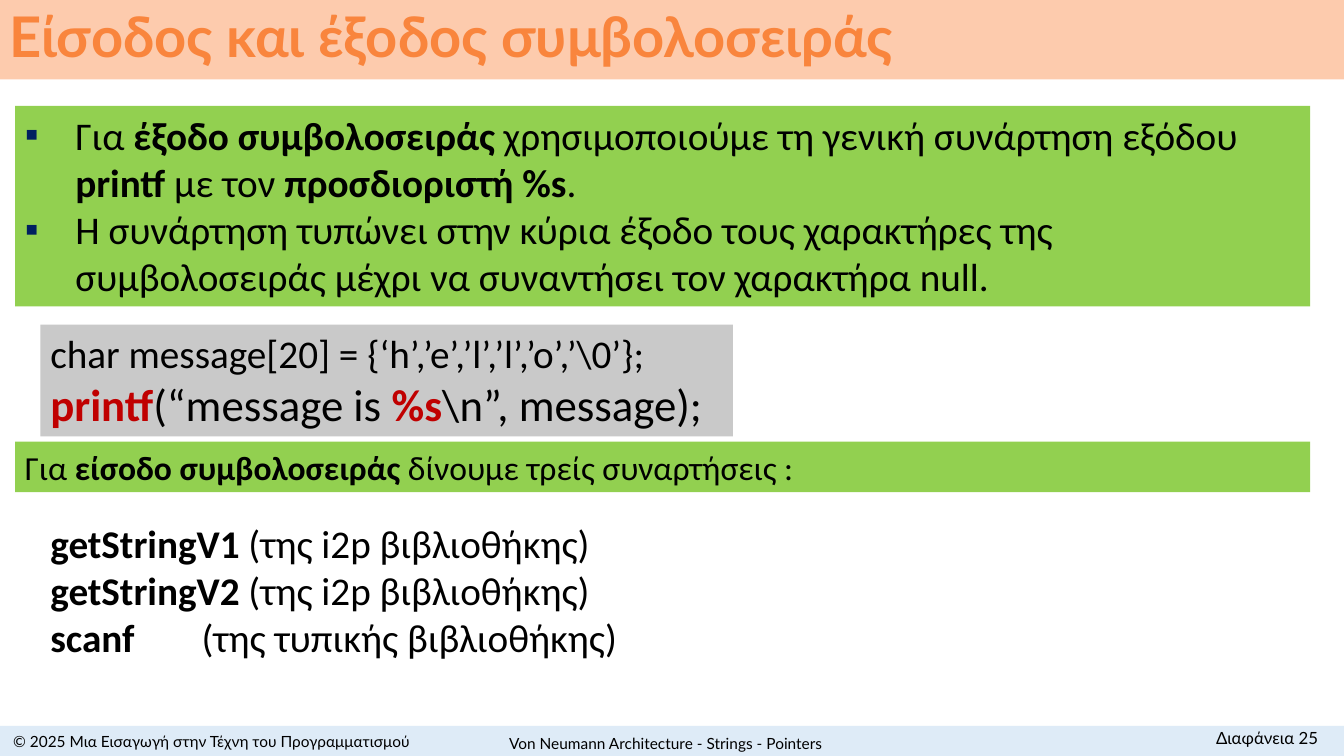
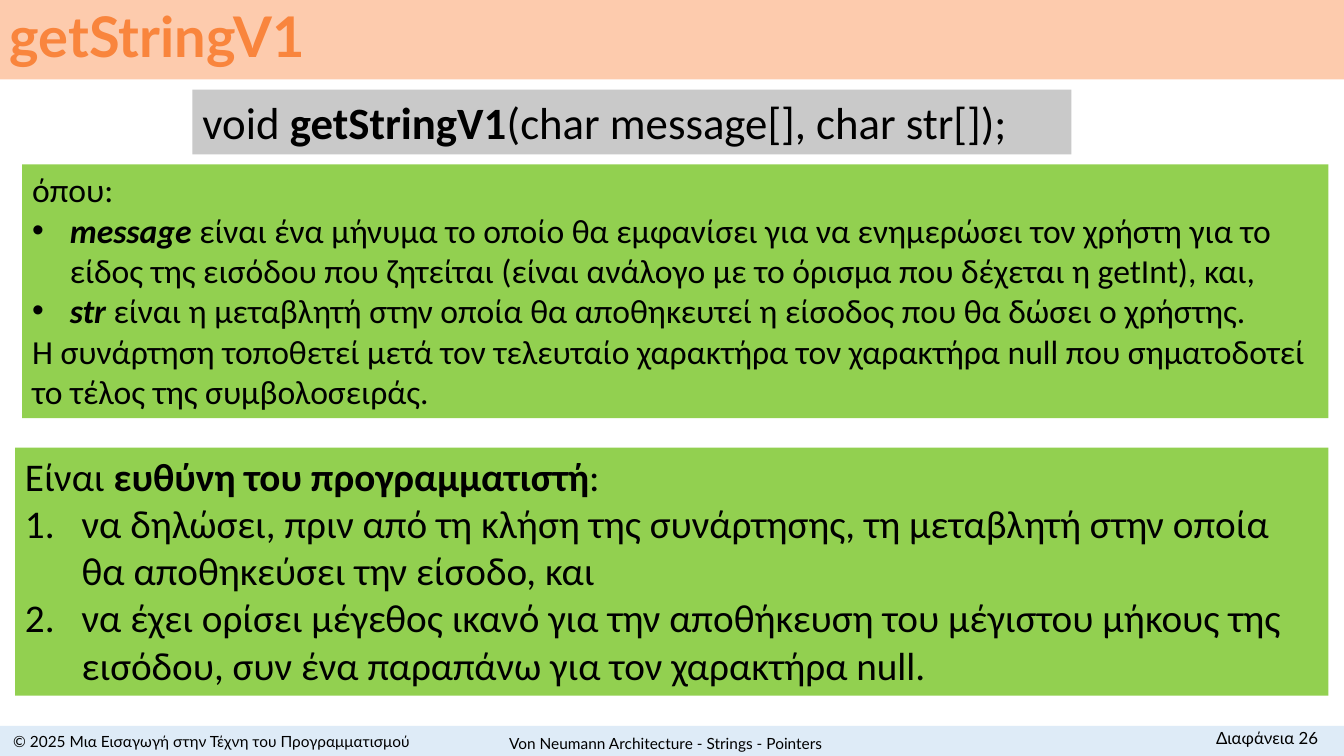
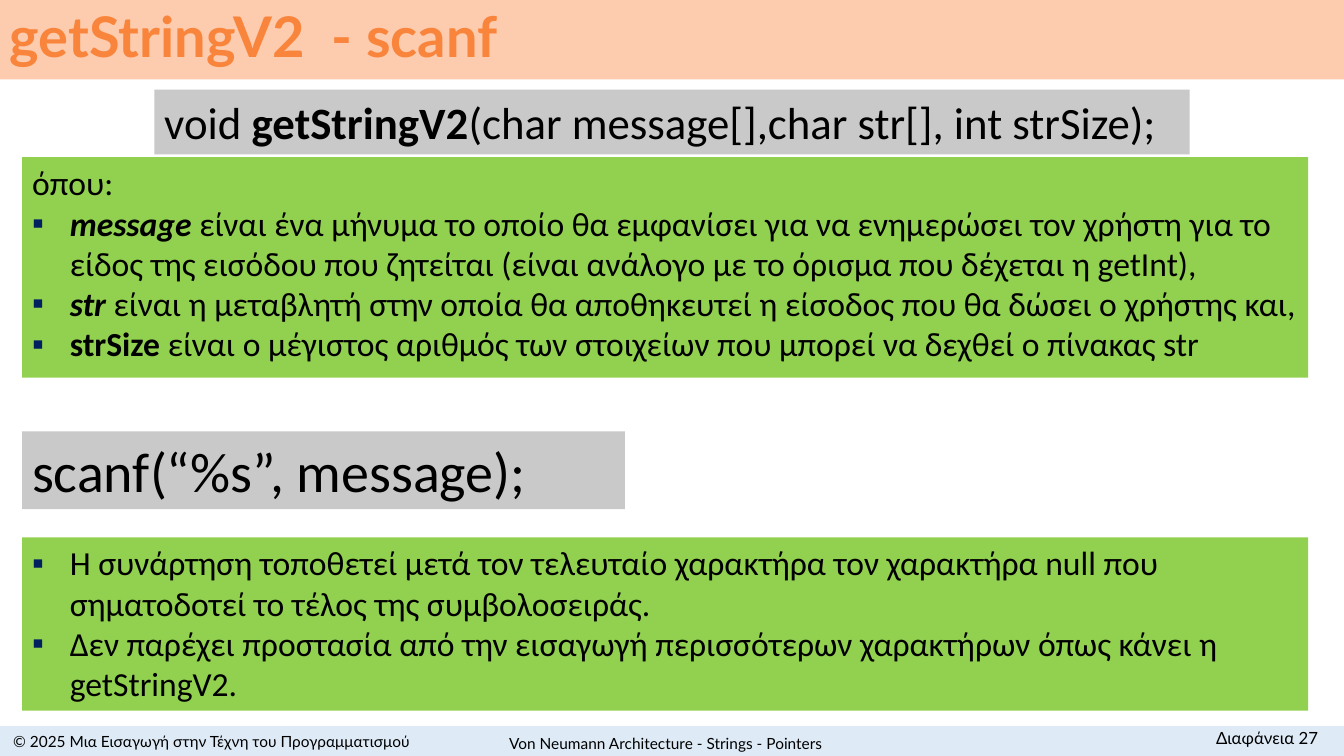
from dataclasses import dataclass

from lxml import etree
from pptx import Presentation
from pptx.dml.color import RGBColor
from pptx.enum.shapes import MSO_SHAPE
from pptx.enum.text import MSO_ANCHOR, MSO_AUTO_SIZE, PP_ALIGN
from pptx.oxml.ns import qn
from pptx.util import Cm, Pt

RECTANGLE = MSO_SHAPE.RECTANGLE
TOP, MIDDLE = MSO_ANCHOR.TOP, MSO_ANCHOR.MIDDLE
LEFT, CENTER, RIGHT = PP_ALIGN.LEFT, PP_ALIGN.CENTER, PP_ALIGN.RIGHT
GROW, FIXED = MSO_AUTO_SIZE.SHAPE_TO_FIT_TEXT, MSO_AUTO_SIZE.NONE
SQUARE, DOT, NUMBER = "▪", "•", "arabicPeriod"


@dataclass(frozen=True)
class Theme:
    heading_font: str = "Lato"
    body_font: str = "Calibri"
    title_fill: str = "FDCBAD"
    title_text: str = "F9853D"
    note_fill: str = "92D050"
    code_fill: str = "C9C9C9"
    footer_fill: str = "DEEBF7"
    text: str = "000000"
    keyword: str = "C00000"
    bullet: str = "002060"
    title_size: int = 40
    display_size: int = 40
    code_size: int = 32
    large_size: int = 28
    body_size: int = 24
    number_size: int = 12
    footer_size: int = 11


@dataclass(frozen=True)
class Box:
    left: float
    top: float
    width: float
    height: float

    def inside(self, left, top, width, height):
        return Box(self.left + left, self.top + top, width, height)

    def lengths(self):
        return [Cm(side) for side in (self.left, self.top, self.width, self.height)]


@dataclass(frozen=True)
class Span:
    text: str
    bold: bool = False
    italic: bool = False
    color: str = ""


@dataclass(frozen=True)
class Line:
    spans: tuple
    size: int
    font: str = ""
    bullet: str = ""
    bullet_color: str = ""
    indent: float = 0
    align: int = LEFT
    spacing: float = 1.0


THEME = Theme()
SLIDE = Box(0, 0, 33.87, 19.05)
TITLE = SLIDE.inside(0, 0, 33.87, 2)
BODY = SLIDE.inside(0, 2, 33.87, 16.29)
FOOTER = SLIDE.inside(0, 18.29, 33.87, 0.76)
FIRST_NUMBER = 25


def strong(text, color=""):
    return Span(text, bold=True, color=color)


def term(text):
    return Span(text, bold=True, italic=True)


def line(size, *pieces, **options):
    spans = tuple(Span(piece) if isinstance(piece, str) else piece for piece in pieces)
    return Line(spans, size, **options)


def square_item(size, indent, *pieces):
    return line(size, *pieces, bullet=SQUARE, bullet_color=THEME.bullet, indent=indent)


def add_bullet(para, content):
    properties = para._p.get_or_add_pPr()
    properties.set("marL", str(Cm(content.indent)))
    properties.set("indent", str(-Cm(content.indent)))
    if content.bullet_color:
        color = etree.SubElement(properties, qn("a:buClr"))
        etree.SubElement(color, qn("a:srgbClr"), val=content.bullet_color)
    if content.bullet == NUMBER:
        etree.SubElement(properties, qn("a:buAutoNum"), type=NUMBER)
    else:
        etree.SubElement(properties, qn("a:buFont"), typeface="Arial")
        etree.SubElement(properties, qn("a:buChar"), char=content.bullet)


def write_line(para, content):
    if content.bullet:
        add_bullet(para, content)
    para.alignment = content.align
    para.line_spacing = content.spacing
    for piece in content.spans:
        span = para.add_run()
        span.text = piece.text
        span.font.name = content.font or THEME.body_font
        span.font.size = Pt(content.size)
        span.font.bold = piece.bold
        span.font.italic = piece.italic
        span.font.color.rgb = RGBColor.from_string(piece.color or THEME.text)


def add_panel(shapes, box, lines=(), fill="", anchor=TOP, sizing=GROW):
    if fill:
        panel = shapes.add_shape(RECTANGLE, *box.lengths())
        panel.shadow.inherit = False
        panel.fill.solid()
        panel.fill.fore_color.rgb = RGBColor.from_string(fill)
        panel.line.fill.background()
    else:
        panel = shapes.add_textbox(*box.lengths())
    frame = panel.text_frame
    frame.word_wrap = True
    frame.vertical_anchor = anchor
    frame.auto_size = sizing
    for index, content in enumerate(lines):
        para = frame.add_paragraph() if index else frame.paragraphs[0]
        write_line(para, content)


def add_note(page, box, *lines):
    add_panel(page.shapes, box, lines, THEME.note_fill)


def add_code(page, box, *lines):
    add_panel(page.shapes, box, lines, THEME.code_fill)


def add_title(page, box, title):
    heading = line(THEME.title_size, strong(title, THEME.title_text),
                   font=THEME.heading_font, spacing=0.9)
    add_panel(page.shapes, box, [heading], THEME.title_fill, MIDDLE, FIXED)


def add_footer(page, box, number):
    shapes = page.shapes.add_group_shape().shapes
    add_panel(shapes, box, fill=THEME.footer_fill, sizing=FIXED)
    labels = (
        (box.inside(0, 0.05, 10.67, 0.66), "© 2025 Μια Εισαγωγή στην Τέχνη του Προγραμματισμού",
         THEME.footer_size, CENTER, MIDDLE, FIXED),
        (box.inside(28.24, -0.08, 5.23, 0.76), f"Διαφάνεια {number}",
         THEME.number_size, RIGHT, TOP, GROW),
        (box.inside(10.34, 0.07, 12.88, 0.76), "Von Neumann Architecture - Strings - Pointers",
         THEME.footer_size, CENTER, MIDDLE, FIXED),
    )
    for place, text, size, align, anchor, sizing in labels:
        label = line(size, text, font=THEME.heading_font, align=align)
        add_panel(shapes, place, [label], anchor=anchor, sizing=sizing)


MESSAGE_ROLE = ("είναι ένα μήνυμα το οποίο θα εμφανίσει για να ενημερώσει τον χρήστη για το "
                "είδος της εισόδου που ζητείται (είναι ανάλογο με το όρισμα που δέχεται η getInt),")
STR_ROLE = "είναι η μεταβλητή στην οποία θα αποθηκευτεί η είσοδος που θα δώσει ο χρήστης"
NULL_RULE = ("Η συνάρτηση τοποθετεί μετά τον τελευταίο χαρακτήρα τον χαρακτήρα null που "
             "σηματοδοτεί το τέλος της συμβολοσειράς.")


def fill_input_output(page, box):
    large = THEME.large_size
    add_note(
        page, box.inside(0.38, 0.67, 32.64, 5.05),
        square_item(large, 1.27, "Για ", strong("έξοδο συμβολοσειράς"),
                    " χρησιμοποιούμε τη γενική συνάρτηση εξόδου ", strong("printf "),
                    "με τον ", strong("προσδιοριστή %s"), "."),
        square_item(large, 1.27, "H συνάρτηση τυπώνει στην κύρια έξοδο τους χαρακτήρες της "
                    "συμβολοσειράς μέχρι να συναντήσει τον χαρακτήρα null."))
    add_note(
        page, box.inside(0.38, 9.13, 32.64, 1.27),
        line(THEME.body_size, "Για ", strong("είσοδο συμβολοσειράς"),
             " δίνουμε τρείς συναρτήσεις :"))
    functions = (("getStringV1 ", "(της i2p βιβλιοθήκης)"),
                 ("getStringV2 ", "(της i2p βιβλιοθήκης)"),
                 ("scanf\t\t", "(της τυπικής βιβλιοθήκης)"))
    add_panel(page.shapes, box.inside(1.02, 10.95, 32.64, 3.84),
              [line(large, strong(name), library) for name, library in functions])
    add_code(
        page, box.inside(1.02, 6.18, 17.45, 2.82),
        line(large, "char message[20] = {‘h’,’e’,’l’,’l’,’o’,’\\0’};"),
        line(THEME.code_size, strong("printf", THEME.keyword), "(“message is ",
             strong("%s", THEME.keyword), "\\n”, message);"))


def fill_first_version(page, box):
    body, large = THEME.body_size, THEME.large_size
    add_note(
        page, box.inside(0.56, 2.14, 32.92, 6.4),
        line(body, "όπου:"),
        line(body, term("message "), MESSAGE_ROLE + " και,", bullet=DOT, indent=0.95),
        line(body, term("str "), STR_ROLE + ".", bullet=DOT, indent=0.95),
        line(body, NULL_RULE))
    add_code(
        page, box.inside(4.85, 0.26, 22.15, 1.63),
        line(THEME.code_size, "void ", strong("getStringV1"), "(char message[], char str[]);"))
    duties = ("να δηλώσει, πριν από τη κλήση της συνάρτησης, τη μεταβλητή στην οποία θα "
              "αποθηκεύσει την είσοδο, και",
              "να έχει ορίσει μέγεθος ικανό για την αποθήκευση του μέγιστου μήκους της "
              "εισόδου, συν ένα παραπάνω για τον χαρακτήρα null.")
    add_note(
        page, box.inside(0.38, 9.28, 33.1, 6.25),
        line(large, "Είναι ", strong("ευθύνη του προγραμματιστή"), ":"),
        *[line(large, duty, bullet=NUMBER, indent=1.43) for duty in duties])


def fill_second_version(page, box):
    body = THEME.body_size
    add_note(
        page, box.inside(0.56, 1.96, 32.41, 5.56),
        line(body, "όπου:"),
        square_item(body, 0.95, term("message "), MESSAGE_ROLE),
        square_item(body, 0.95, term("str "), STR_ROLE + " και,"),
        square_item(body, 0.95, strong("strSize "), "είναι ο μέγιστος αριθμός των στοιχείων "
                    "που μπορεί να δεχθεί ο πίνακας str"))
    add_code(
        page, box.inside(3.89, 0.26, 26.09, 1.63),
        line(THEME.code_size, "void ", strong("getStringV2"),
             "(char message[],char str[], int strSize);"))
    add_note(
        page, box.inside(0.56, 11.54, 32.41, 4.37),
        square_item(body, 0.95, NULL_RULE),
        square_item(body, 0.95, "Δεν παρέχει προστασία από την εισαγωγή περισσότερων "
                    "χαρακτήρων όπως κάνει η getStringV2."))
    add_code(page, box.inside(0.56, 8.87, 15.19, 1.96),
             line(THEME.display_size, "scanf(“%s”, message);"))


def main():
    deck = Presentation()
    deck.slide_width, deck.slide_height = Cm(SLIDE.width), Cm(SLIDE.height)
    blank = deck.slide_layouts[6]
    pages = (("Είσοδος και έξοδος συμβολοσειράς", fill_input_output),
             ("getStringV1", fill_first_version),
             ("getStringV2  - scanf", fill_second_version))
    for number, (title, fill_body) in enumerate(pages, FIRST_NUMBER):
        page = deck.slides.add_slide(blank)
        add_title(page, TITLE, title)
        fill_body(page, BODY)
        add_footer(page, FOOTER, number)
    deck.save("out.pptx")


if __name__ == "__main__":
    main()
